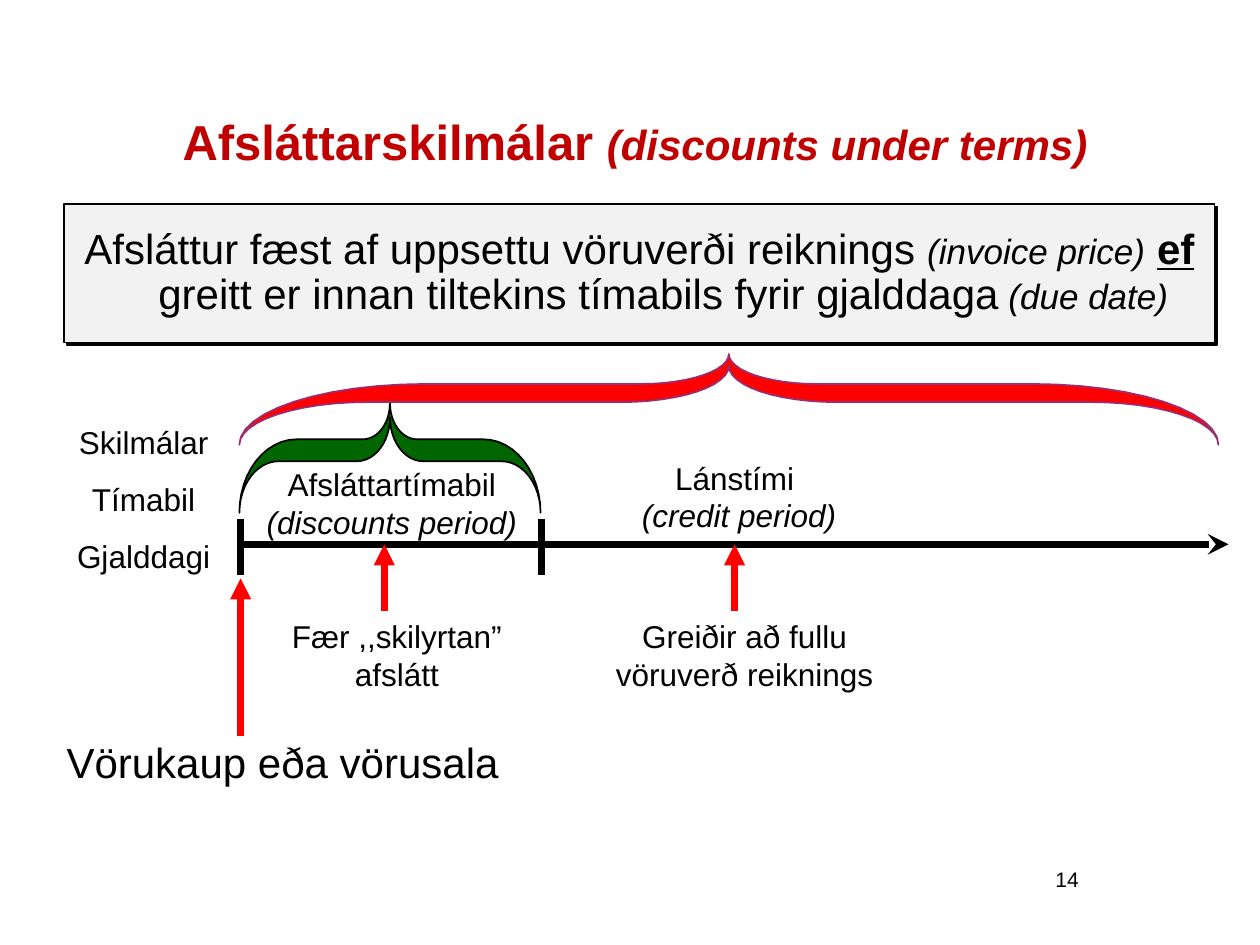
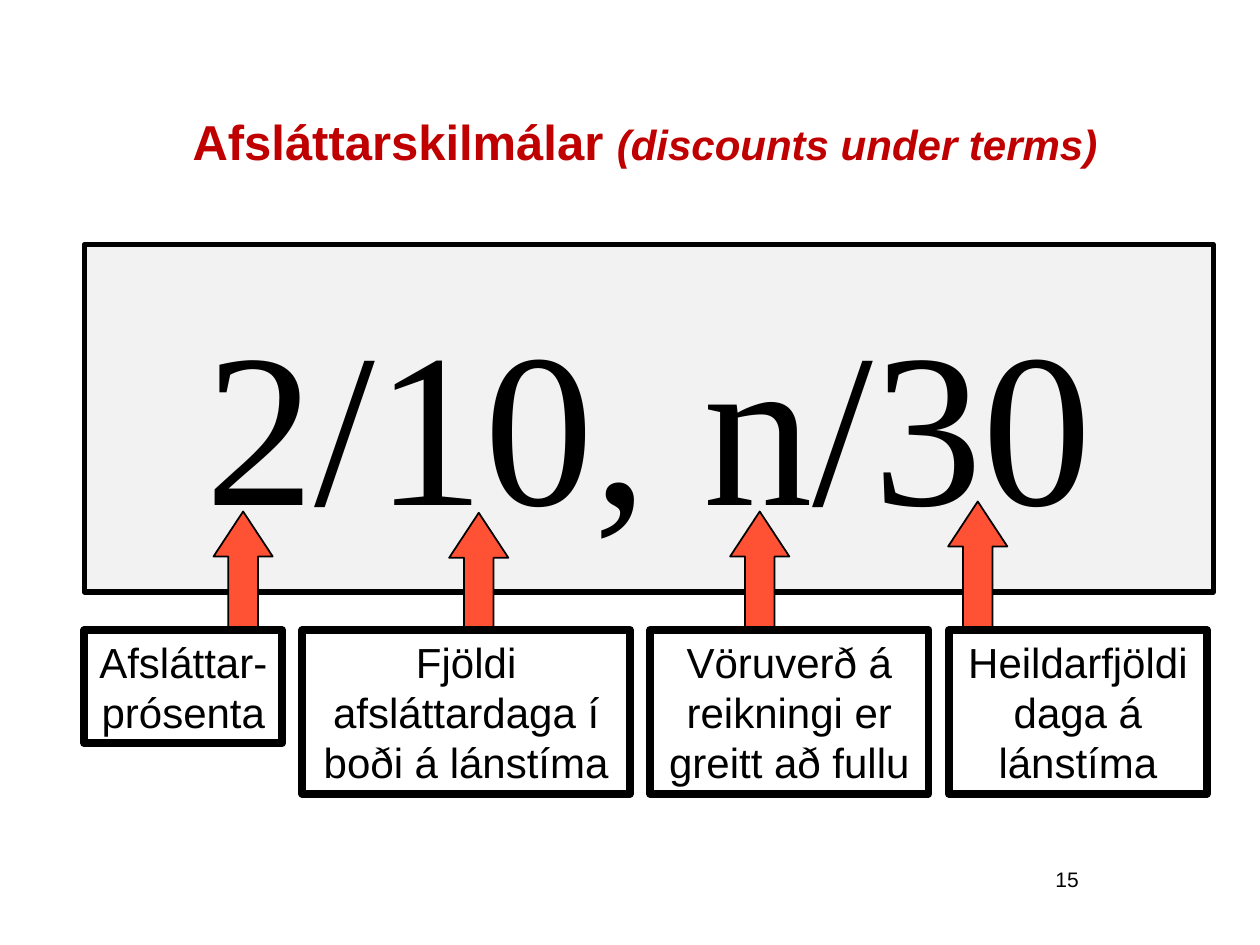
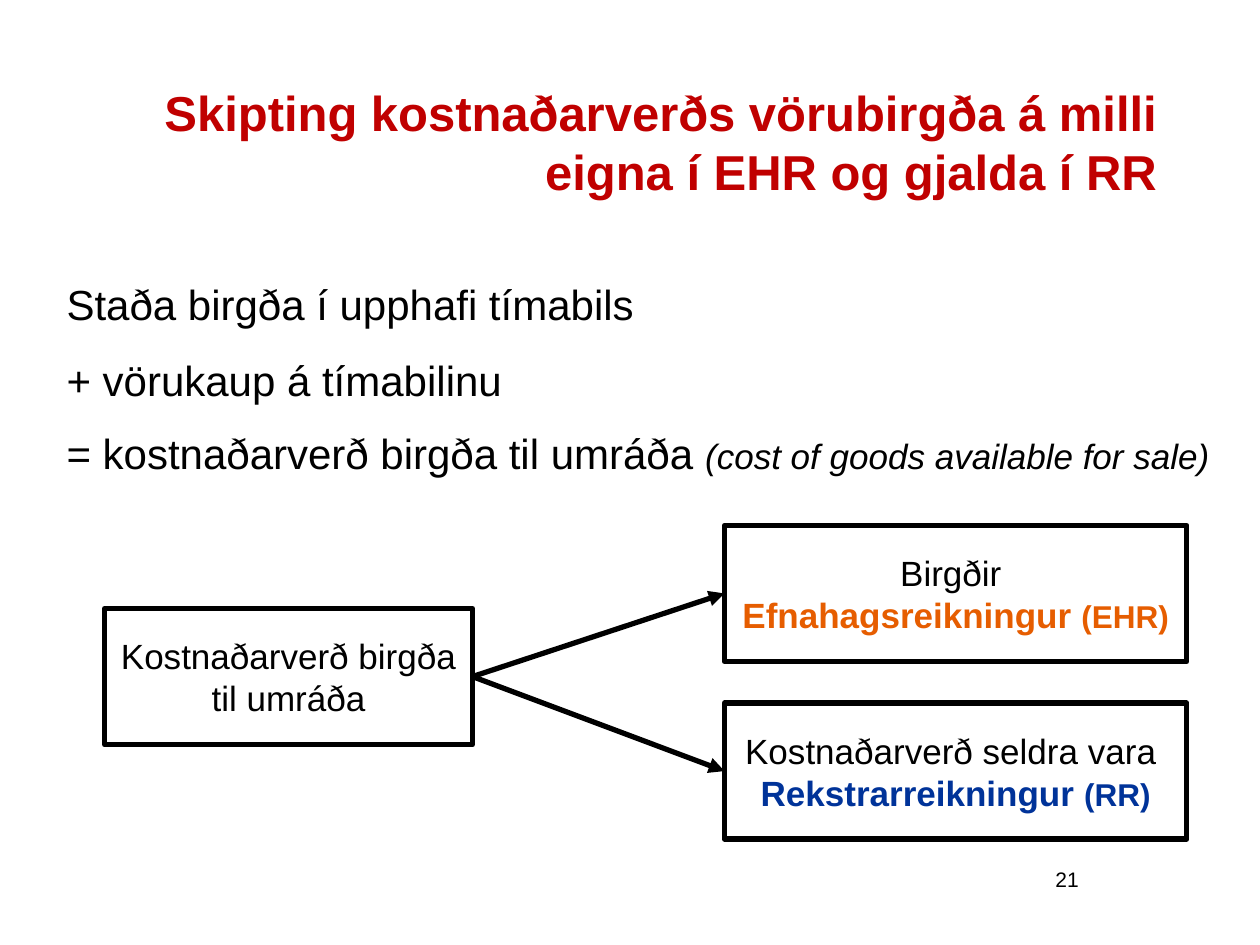
import math
import typing

import pptx
import pptx.dml.color
import pptx.enum.shapes
import pptx.enum.text
import pptx.oxml
import pptx.oxml.ns
import pptx.util

RGB = pptx.dml.color.RGBColor
BLACK = RGB(0x00, 0x00, 0x00)
TITLE = RGB(0xC0, 0x00, 0x00)
PANEL = RGB(0xF2, 0xF2, 0xF2)
RED = RGB(0xFF, 0x00, 0x00)
PLUM = RGB(0x9A, 0x2F, 0x6F)
GREEN = RGB(0x00, 0x66, 0x00)
CORAL = RGB(0xFF, 0x51, 0x33)
ORANGE = RGB(0xE6, 0x5D, 0x00)
BLUE = RGB(0x00, 0x33, 0x99)

SHAPE = pptx.enum.shapes.MSO_SHAPE
ALIGN = pptx.enum.text.PP_ALIGN
LEFT, MID, RIGHT = ALIGN.LEFT, ALIGN.CENTER, ALIGN.RIGHT
ANCHOR = pptx.enum.text.MSO_ANCHOR

COLS, ROWS = 100, 75
CELL = pptx.util.Inches(0.1)


class Box(typing.NamedTuple):
    """A region of the slide in grid cells."""
    x: float
    y: float
    w: float
    h: float

    def inner(self, x, y, w, h):
        return Box(self.x + x, self.y + y, w, h)

    def emu(self):
        return [round(v * CELL) for v in self]


def style(font, size=None, color=None, bold=None, italic=None, under=None, name=None):
    if size:
        font.size = pptx.util.Pt(size)
    if color is not None:
        font.color.rgb = color
    if name:
        font.name = name
    for key, value in (("bold", bold), ("italic", italic), ("underline", under)):
        if value is not None:
            setattr(font, key, value)


def write(shape, paras, size, align=MID, anchor=ANCHOR.TOP, wrap=True,
          hang=0, gaps=(), lead=None, **look):
    """Fill a shape; a paragraph is a list of texts or (text, look) pairs."""
    frame = shape.text_frame
    frame.word_wrap, frame.vertical_anchor = wrap, anchor
    for i, runs in enumerate(paras):
        para = frame.paragraphs[0] if i == 0 else frame.add_paragraph()
        if hang:
            props = para._p.get_or_add_pPr()
            props.set("marL", str(round(hang * CELL)))
            props.set("indent", str(round(-hang * CELL)))
        para.alignment = align
        if lead:
            para.line_spacing = lead
        if i and gaps:
            para.space_before = pptx.util.Pt(gaps[i - 1])
        style(para.font, **{"size": size, "color": BLACK, "name": "Arial", **look})
        for item in runs:
            text, extra = (item, {}) if isinstance(item, str) else item
            if text == "\n":
                para.add_line_break()
                continue
            run = para.add_run()
            run.text = text
            style(run.font, **extra)


def label(slide, box, paras, size, **look):
    write(slide.shapes.add_textbox(*box.emu()), paras, size, **look)


def paint(shape, fill, edge, width):
    shape.shadow.inherit = False
    if fill is None:
        shape.fill.background()
    else:
        shape.fill.solid()
        shape.fill.fore_color.rgb = fill
    shape.line.color.rgb = edge
    shape.line.width = pptx.util.Pt(width)


def panel(slide, box, width, fill=None, kind=SHAPE.RECTANGLE):
    shape = slide.shapes.add_shape(kind, *box.emu())
    paint(shape, fill, BLACK, width)
    return shape


def rule(slide, box, start, end, width, color=BLACK, head=None):
    """Draw a line between two points of the box."""
    (x1, y1), (x2, y2) = start, end
    ends = (box.x + x1, box.y + y1, box.x + x2, box.y + y2)
    line = slide.shapes.add_connector(
        pptx.enum.shapes.MSO_CONNECTOR.STRAIGHT, *[round(v * CELL) for v in ends])
    line.line.color.rgb = color
    line.line.width = pptx.util.Pt(width)
    tag = pptx.oxml.ns.qn
    props = line._element.spPr
    if head:
        stroke = props.find(tag("a:ln"))
        stroke.append(stroke.makeelement(tag("a:tailEnd"), {"type": head}))
    props.append(props.makeelement(tag("a:effectLst"), {}))
    return line


def curve(edge, top, arm, tip):
    """Left half of a brace, from its foot to its tip, in shares of its box."""
    turns = [math.pi / 2 * i / 12 for i in range(13)]
    foot = [(edge * (1 - math.cos(t)), 1 - (1 - top) * math.sin(t)) for t in turns]
    peak = [(arm + (0.5 - arm) * math.sin(t), tip + (top - tip) * math.cos(t))
            for t in turns]
    return foot + peak


def brace(slide, box, fill, edge):
    def flip(points):
        return [(1 - x, y) for x, y in points]

    outer = curve(0.19, 0.33, 0.41, 0)
    under = curve(0.13, 0.53, 0.39, 0.13)
    shares = outer + flip(outer)[::-1] + flip(under) + under[::-1]
    points = [(round((box.x + x * box.w) * CELL), round((box.y + y * box.h) * CELL))
              for x, y in shares]
    pen = slide.shapes.build_freeform(*points[0])
    pen.add_line_segments(points[1:], close=True)
    paint(pen.convert_to_shape(), fill, edge, 1)


def page(deck, number, title, width, align=MID):
    """Add a slide with its title and number."""
    slide = deck.slides.add_slide(deck.slide_layouts[6])
    label(slide, Box(65.8, 68.3, 20.8, 5), [[number]], 12, align=RIGHT)
    label(slide, Box(7.5, 7, width, 8.4), [title], 28, align=align,
          anchor=ANCHOR.MIDDLE, color=TITLE, bold=True)
    return slide


def terms(slide, box):
    shape = panel(slide, box, 1, PANEL)
    effects = shape._element.spPr.find(pptx.oxml.ns.qn("a:effectLst"))
    effects.append(pptx.oxml.parse_xml(
        f'<a:outerShdw {pptx.oxml.ns.nsdecls("a")} dist="25400" dir="2700000" '
        'algn="ctr" rotWithShape="0"><a:srgbClr val="000000"/></a:outerShdw>'))
    small = {"size": 20, "italic": True}
    write(shape, [[
        "Afsláttur fæst af uppsettu vöruverði reiknings ",
        ("(invoice price)", small), " ",
        ("ef", {"bold": True, "under": True}),
        " greitt er innan tiltekins tímabils fyrir gjalddaga",
        (" ", {"size": 20}), ("(due date)", small)]],
        24, anchor=ANCHOR.MIDDLE, hang=3.8, lead=0.9)


def timeline(slide, box):
    start, split, axis = 14.8, 38.7, 15.1
    slant = {"italic": True}
    rule(slide, box, (start, axis), (box.w, axis), 4, head="stealth")
    for x in (start, split):
        rule(slide, box, (x, axis - 2), (x, axis + 2.4), 4)
    brace(slide, box.inner(14.7, 3.9, 23.9, 8.7), GREEN, BLACK)
    brace(slide, box.inner(14.7, 0, 77.7, 7.2), RED, PLUM)
    for x, low, high in ((26.2, 20.4, axis), (54, 20.4, axis), (start, 30.3, 17.8)):
        rule(slide, box, (x, low), (x, high), 4, RED, "triangle")
    label(slide, box.inner(0.8, 3.5, 12.6, 14.5),
          [["Skilmálar"], ["Tímabil"], ["Gjalddagi"]], 18, lead=1.5)
    label(slide, box.inner(15, 8.3, 23.6, 7),
          [["Afsláttartímabil ", ("(discounts period)", slant)]], 18,
          anchor=ANCHOR.MIDDLE)
    label(slide, box.inner(44.9, 7.8, 18.9, 7),
          [["Lánstími "], [("(credit period)", slant)]], 18)
    label(slide, box.inner(15.8, 20.4, 22.8, 7), [["Fær ,,skilyrtan” afslátt"]], 18)
    label(slide, box.inner(41, 20.4, 27.6, 7),
          [["Greiðir að fullu vöruverð reiknings"]], 18)
    label(slide, box.inner(0, 29.9, 37, 5), [["Vörukaup eða vörusala"]], 24, align=LEFT)


def quote(slide, box):
    write(panel(slide, box, 3, PANEL), [["2/10, n/30"]], 125,
          anchor=ANCHOR.MIDDLE, wrap=False, name="Times New Roman")


def notes(slide, box):
    """Place a row of notes, each with an arrow up to its figure."""
    wide, gap, x = 4.7, 1.6, 0
    items = (  # text, width, height, arrow centre, arrow length
        ("Afsláttar- prósenta", 15.7, 9, 12.6, 9.4),
        ("Fjöldi afsláttardaga í boði á lánstíma", 26, 13, 14, 9.3),
        ("Vöruverð á reikningi er greitt að fullu", 22.1, 13, 8.7, 9.4),
        ("Heildarfjöldi daga á lánstíma", 20.5, 13, 2.3, 10.2))
    for text, width, height, centre, length in items:
        arrow = panel(slide, box.inner(x + centre - wide / 2, -length, wide, length),
                      1, CORAL, SHAPE.UP_ARROW)
        arrow.adjustments[1] = 0.76
        write(panel(slide, box.inner(x, 0, width, height), 4.5), [[text]], 24)
        x += width + gap


def sums(slide, box):
    label(slide, box, [
        ["Staða birgða í upphafi tímabils"],
        ["+ vörukaup á tímabilinu"],
        ["= kostnaðarverð birgða til umráða ",
         ("(cost of goods available for sale)", {"size": 20, "italic": True})]],
        24, align=LEFT, hang=5, gaps=(15, 12.5))


def share(slide, box):
    """Show one cost leading to two statements."""
    high = 10.8

    def card(x, y, width, runs):
        shape = panel(slide, box.inner(x, y, width, high), 3)
        write(shape, [runs], 20, anchor=ANCHOR.MIDDLE)
        return shape

    cost = card(0, 6.6, 29.2, ["Kostnaðarverð birgða til umráða"])
    ends = (("Birgðir ", "Efnahagsreikningur ", "(EHR)", ORANGE),
            ("Kostnaðarverð seldra vara ", "Rekstrarreikningur ", "(RR)", BLUE))
    for i, (item, name, short, color) in enumerate(ends):
        bold = {"color": color, "bold": True}
        goal = card(49.2, i * 14.1, 36.7,
                    [item, "\n", (name, bold), (short, {**bold, "size": 18})])
        line = rule(slide, box, (29.2, 12), (49.2, 5.4 + i * 14.1), 3, head="triangle")
        line.begin_connect(cost, 3)
        line.end_connect(goal, 1)


def main():
    deck = pptx.Presentation()
    deck.slide_width, deck.slide_height = COLS * CELL, ROWS * CELL
    title = ["Afsláttarskilmálar ",
             ("(discounts under terms)", {"size": 24, "italic": True})]

    slide = page(deck, "14", title, 85.8)
    terms(slide, Box(5.1, 16.2, 91.3, 11))
    timeline(slide, Box(4.3, 28.1, 93.2, 35))

    slide = page(deck, "15", title, 87.4)
    quote(slide, Box(6.7, 19.4, 89.6, 27.6))
    notes(slide, Box(6.7, 50, 89, 13))

    slide = page(deck, "21", ["Skipting kostnaðarverðs vörubirgða á milli "
                              "eigna í EHR og gjalda í RR"], 85.3, RIGHT)
    share(slide, Box(8.3, 41.7, 85.9, 24.9))
    sums(slide, Box(4.3, 21.6, 92.9, 31))

    deck.save("out.pptx")


if __name__ == "__main__":
    main()
